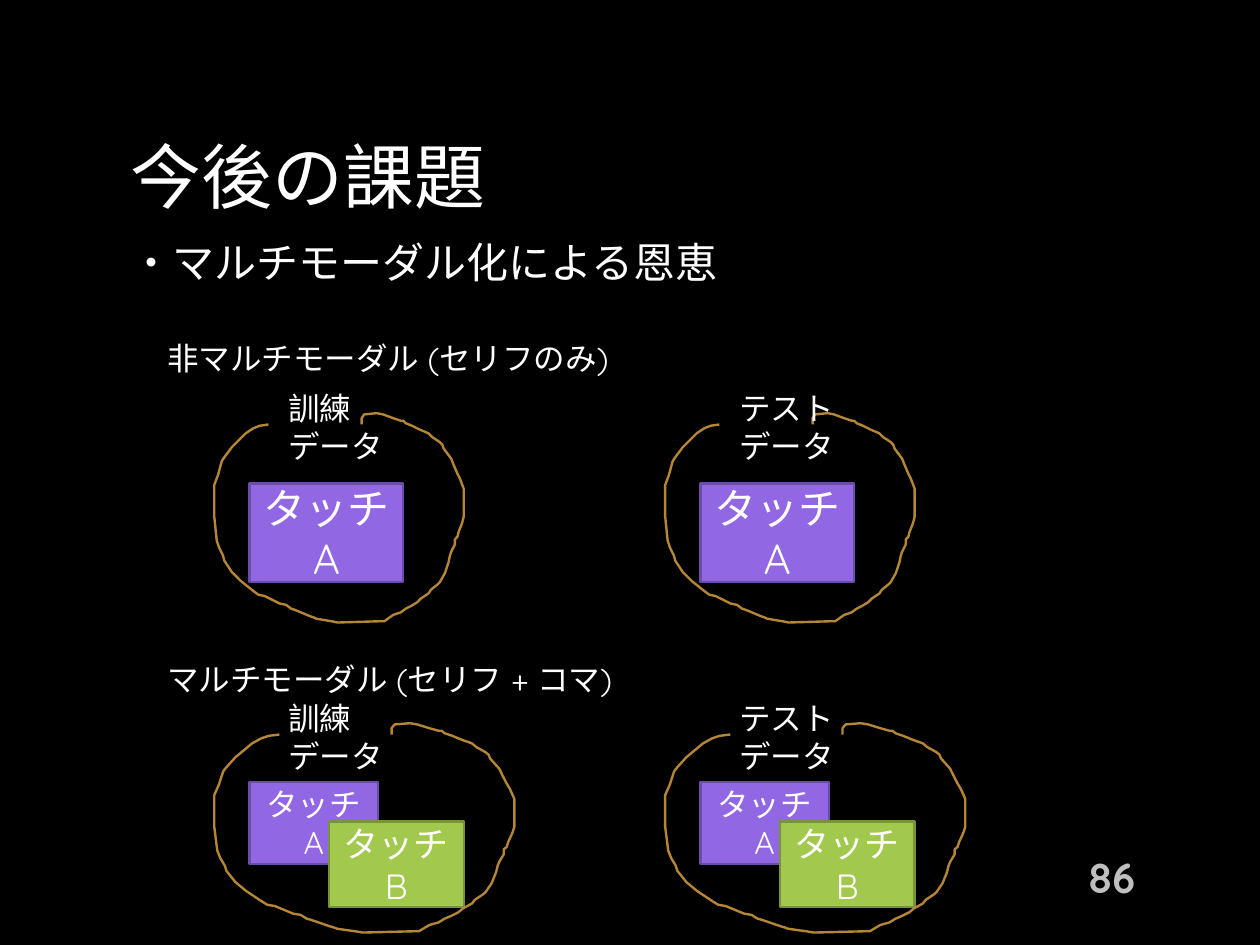
from dataclasses import dataclass

from lxml.etree import SubElement
from pptx import Presentation
from pptx.dml.color import RGBColor
from pptx.enum.shapes import MSO_SHAPE as Kind
from pptx.enum.text import MSO_ANCHOR as Anchor, PP_ALIGN as Align
from pptx.oxml.ns import qn
from pptx.util import Cm, Pt

FACE = "Quicksand"
WHITE = "FFFFFF"
GOLD = "B58637"
LINE = 1.35
COLS = ((4.32, "訓練データ"), (13.41, "テストデータ"))
HIGH = 4.22
LOOP = [
    (43, 9), (36, 10), (31, 12), (25, 16), (22, 19), (20, 21), (17, 24),
    (14, 27), (8, 35), (6, 38), (3, 49), (0, 57), (0, 60), (0, 82), (2, 101),
    (4, 107), (7, 113), (8, 117), (10, 120), (14, 126), (16, 128), (21, 133),
    (31, 141), (35, 144), (40, 145), (52, 151), (57, 152), (61, 155),
    (64, 156), (76, 161), (79, 162), (81, 163), (87, 164), (93, 165),
    (98, 166), (132, 165), (135, 165), (142, 160), (148, 158), (152, 155),
    (156, 153), (161, 150), (164, 147), (170, 143), (172, 140), (177, 136),
    (179, 134), (183, 127), (186, 118), (187, 113), (188, 110), (191, 104),
    (191, 100), (193, 98), (194, 94), (196, 89), (197, 86), (198, 82),
    (198, 60), (195, 52), (193, 48), (190, 41), (188, 36), (185, 32),
    (182, 28), (181, 25), (179, 23), (176, 21), (173, 19), (170, 16),
    (163, 13), (157, 10), (152, 8), (150, 6), (148, 6), (142, 4), (134, 1),
    (129, 0), (119, 1), (117, 4), (117, 9),
]


@dataclass
class Card:
    text: str
    left: float
    top: float
    wide: float
    high: float
    size: float
    fill: str
    edge: str


@dataclass
class Row:
    head: str
    top: float
    loop_top: float
    wide: float
    cards: list[Card]


@dataclass
class Note:
    text: str
    left: float
    top: float
    wide: float
    high: float
    size: float
    tint: str = WHITE
    bold: bool = False
    align: Align = Align.LEFT
    anchor: Anchor = Anchor.TOP


def tone(code: str) -> RGBColor:
    return RGBColor.from_string(code)


def write(frame, text: str, size: float, tint: str = WHITE,
          bold: bool = False, align: Align = Align.LEFT) -> None:
    frame.word_wrap = True
    frame.text = text
    para = frame.paragraphs[0]
    para.alignment = align
    run = para.runs[0]
    run.font.size = Pt(size)
    run.font.bold = bold
    run.font.color.rgb = tone(tint)
    run.font.name = FACE
    SubElement(run.font._element, qn("a:ea"), typeface=FACE)


def add_note(slide, note: Note) -> None:
    box = slide.shapes.add_textbox(
        Cm(note.left), Cm(note.top), Cm(note.wide), Cm(note.high))
    write(box.text_frame, note.text, note.size, note.tint, note.bold, note.align)
    box.text_frame.vertical_anchor = note.anchor


def add_card(slide, card: Card, left: float, top: float) -> None:
    box = slide.shapes.add_shape(
        Kind.RECTANGLE, Cm(left + card.left), Cm(top + card.top),
        Cm(card.wide), Cm(card.high))
    box.shadow.inherit = False
    box.fill.solid()
    box.fill.fore_color.rgb = tone(card.fill)
    box.line.color.rgb = tone(card.edge)
    box.line.width = Pt(LINE)
    write(box.text_frame, card.text, card.size, align=Align.CENTER)
    box.text_frame.vertical_anchor = Anchor.MIDDLE


def add_loop(slide, left: float, top: float, wide: float) -> None:
    dots = [(Cm(left + x * wide / 198), Cm(top + y * HIGH / 166))
            for x, y in LOOP]
    pen = slide.shapes.build_freeform(*dots[0])
    pen.add_line_segments(dots[1:], close=False)
    loop = pen.convert_to_shape()
    loop.shadow.inherit = False
    loop.fill.background()
    loop.line.color.rgb = tone(GOLD)
    loop.line.width = Pt(LINE)


def add_row(slide, row: Row) -> None:
    add_note(slide, Note(row.head, 3.12, row.top, 9.58, 1.02, 18))
    for left, label in COLS:
        for card in row.cards:
            add_card(slide, card, left, row.loop_top)
        add_loop(slide, left, row.loop_top, row.wide)
        add_note(slide, Note(label, left + 1.24, row.loop_top - 0.61,
                             2.51, 1.8, 18))


def main() -> None:
    deck = Presentation()
    deck.slide_width, deck.slide_height = Cm(25.4), Cm(19.05)
    slide = deck.slides.add_slide(deck.slide_layouts[6])
    slide.background.fill.solid()
    slide.background.fill.fore_color.rgb = tone("000000")

    violet = ("9167E3", "6B4CA8")
    green = ("A2C84E", "78943A")
    notes = [
        Note("今後の課題", 2.39, 2.39, 20.62, 2.29, 40.5, anchor=Anchor.MIDDLE),
        Note("86", 19.84, 17.17, 3.3, 1.02, 24, "BFBFBF", True,
             Align.RIGHT, Anchor.MIDDLE),
        Note("・マルチモーダル化による恩恵", 2.39, 4.65, 22.05, 1.27, 24),
    ]
    rows = [
        Row("非マルチモーダル (セリフのみ)", 6.71, 8.33, 5.03,
            [Card("タッチ A", 0.71, 1.42, 3.1, 1.98, 24, *violet)]),
        Row("マルチモーダル (セリフ + コマ)", 13.18, 14.58, 6.05,
            [Card("タッチ A", 0.71, 1.19, 2.59, 1.65, 18, *violet),
             Card("タッチ B", 2.31, 1.98, 2.72, 1.73, 20, *green)]),
    ]
    for note in notes:
        add_note(slide, note)
    for row in rows:
        add_row(slide, row)
    deck.save("out.pptx")


if __name__ == "__main__":
    main()
